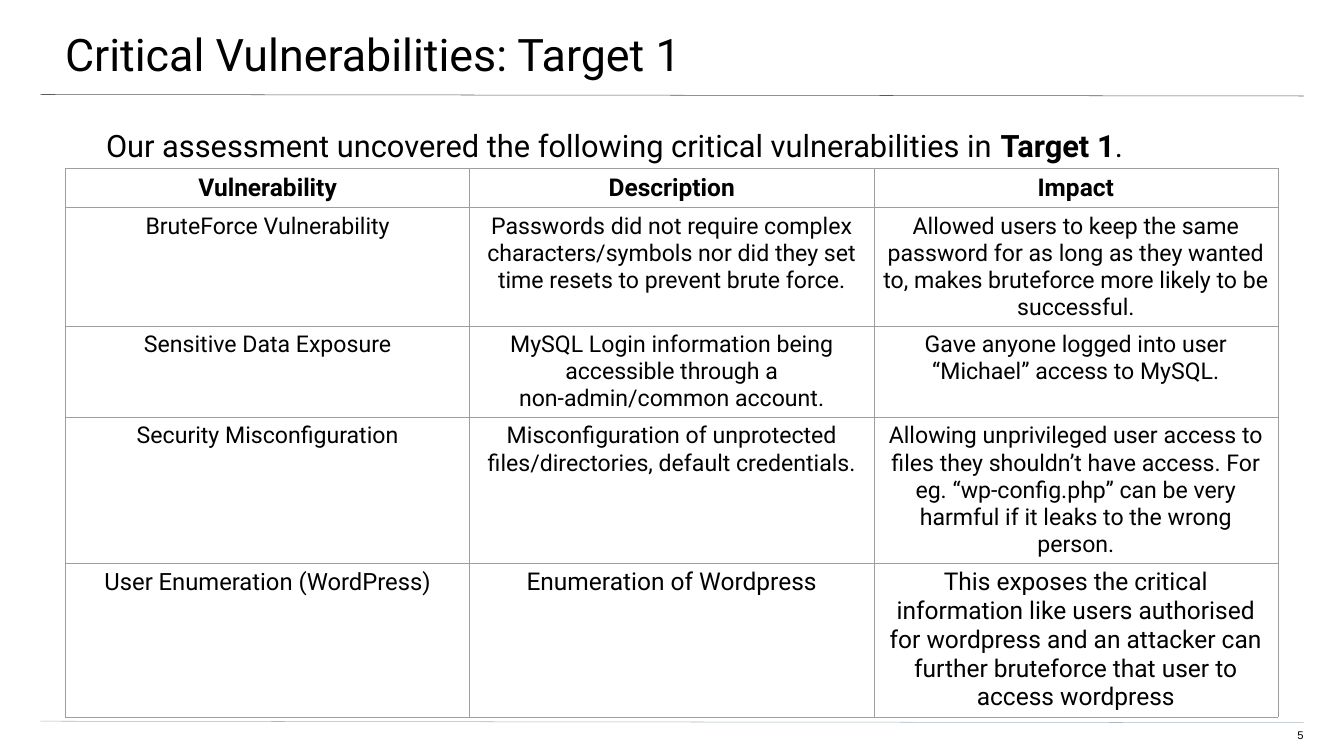
from lxml import etree
from pptx import Presentation
from pptx.dml.color import RGBColor
from pptx.enum.shapes import MSO_CONNECTOR
from pptx.enum.text import MSO_ANCHOR, MSO_AUTO_SIZE, PP_ALIGN
from pptx.oxml import parse_xml
from pptx.oxml.ns import nsdecls, qn
from pptx.util import Inches, Pt

LEFT, CENTER, RIGHT = PP_ALIGN.LEFT, PP_ALIGN.CENTER, PP_ALIGN.RIGHT
TOP = MSO_ANCHOR.TOP
NO_AUTOFIT = MSO_AUTO_SIZE.NONE
STRAIGHT = MSO_CONNECTOR.STRAIGHT
WIDTH, HEIGHT = Inches(26.66), Inches(15)


def color(hex_string):
    return RGBColor.from_string(hex_string)


def write(frame, runs, size, align, insets, font_name="Roboto"):
    """Fill a text frame with one paragraph of (text, bold) runs."""
    sides = ("margin_left", "margin_top", "margin_right", "margin_bottom")
    for side, inset in zip(sides, insets):
        setattr(frame, side, Inches(inset))
    frame.word_wrap = True
    paragraph = frame.paragraphs[0]
    paragraph.alignment = align
    paragraph.space_before = Pt(0)
    for text, bold in runs:
        run = paragraph.add_run()
        run.text = text
        for name, value in {"name": font_name, "size": Pt(size), "bold": bold}.items():
            setattr(run.font, name, value)
        run.font.color.rgb = color("000000")


presentation = Presentation()
presentation.slide_width, presentation.slide_height = WIDTH, HEIGHT
slide = presentation.slides.add_slide(presentation.slide_layouts[1])
slide.background.fill.solid()
slide.background.fill.fore_color.rgb = color("FFFFFF")

# Header and footer rules: start and end height as shares of the slide
for start, end, line_color in ((0.125, 0.127, "595959"), (0.954, 0.956, "A9B7C0")):
    rule = slide.shapes.add_connector(
        STRAIGHT, int(WIDTH * 0.03), int(HEIGHT * start), int(WIDTH * 0.97), int(HEIGHT * end))
    rule.line.color.rgb = color(line_color)
    rule.line.width = Pt(0.75)
    etree.SubElement(rule._element.spPr, qn("a:effectLst"))

# Title, introduction and slide number: box as percentages of the slide
title, introduction = slide.shapes.title, slide.placeholders[1]
number = slide.shapes.add_textbox(0, 0, 0, 0)
for shape, (left, top, width, height) in (
    (title, (-0.15, 0, 100.26, 10.4)),
    (introduction, (2.9, 16.73, 94.1, 71.93)),
    (number, (94.15, 96.4, 2.85, 2.07)),
):
    shape.left, shape.width = int(WIDTH * left / 100), int(WIDTH * width / 100)
    shape.top, shape.height = int(HEIGHT * top / 100), int(HEIGHT * height / 100)
    shape.text_frame.vertical_anchor = TOP
    shape.text_frame.auto_size = NO_AUTOFIT

properties = introduction.text_frame.paragraphs[0]._p.get_or_add_pPr()
properties.set("marL", "0")
properties.set("indent", "0")
etree.SubElement(properties, qn("a:buNone"))

write(title.text_frame, [("Critical Vulnerabilities: Target 1", False)], 64, LEFT,
      (1.33, 0.53, 0.8, 0.27))
write(introduction.text_frame, [
    ("Our assessment uncovered the following critical vulnerabilities in ", False),
    ("Target 1", True),
    (".", False),
], 44, LEFT, (1.33, 0, 1.33, 2.67))
write(number.text_frame, [("5", False)], 16, RIGHT, (0, 0, 0, 0.27), "Arial")

# Vulnerability table: row height in percent of the slide, text sizes, texts
rows = [
    (5.2, (35, 35, 35), ("Vulnerability", "Description", "Impact")),
    (15.55, (33, 33, 33), (
        "BruteForce Vulnerability",
        "Passwords did not require complex characters/symbols nor did they set "
        "time resets to prevent brute force.",
        "Allowed users to keep the same password for as long as they wanted to, "
        "makes bruteforce more likely to be successful.")),
    (12.1, (33, 33, 33), (
        "Sensitive Data Exposure",
        "MySQL Login information being accessible through a non-admin/common account.",
        "Gave anyone logged into user “Michael” access to MySQL.")),
    (19.25, (33, 33, 33), (
        "Security Misconfiguration",
        "Misconfiguration of unprotected files/directories, default credentials.",
        "Allowing unprivileged user access to files they shouldn’t have access. "
        "For eg. “wp-config.php” can be very harmful if it leaks to the wrong person.")),
    (20.4, (34, 35, 35), (
        "User Enumeration (WordPress)",
        "Enumeration of Wordpress",
        "This exposes the critical information like users authorised for wordpress "
        "and an attacker can further bruteforce that user to access wordpress")),
]
table_height = sum(row[0] for row in rows) / 100
table = slide.shapes.add_table(
    len(rows), 3, int(WIDTH * 0.0488), int(HEIGHT * 0.2227),
    int(WIDTH * 0.902), int(HEIGHT * table_height)).table
table.first_row = table.horz_banding = False

for row_index, (row_height, sizes, texts) in enumerate(rows):
    table.rows[row_index].height = int(HEIGHT * row_height / 100)
    for column_index, (size, text) in enumerate(zip(sizes, texts)):
        cell = table.cell(row_index, column_index)
        write(cell.text_frame, [(text, row_index == 0)], size, CENTER, (0, 0, 0, 0))
        for side in ("left", "top", "right", "bottom"):
            setattr(cell, f"margin_{side}", Inches(0.1))
        cell.vertical_anchor = TOP
        cell_properties = cell._tc.get_or_add_tcPr()
        for edge in ("lnL", "lnR", "lnT", "lnB"):
            cell_properties.append(parse_xml(
                f'<a:{edge} {nsdecls("a")} w="{Pt(0.75)}"><a:solidFill>'
                f'<a:srgbClr val="9E9E9E"/></a:solidFill></a:{edge}>'))
        cell.fill.background()

presentation.save("out.pptx")
